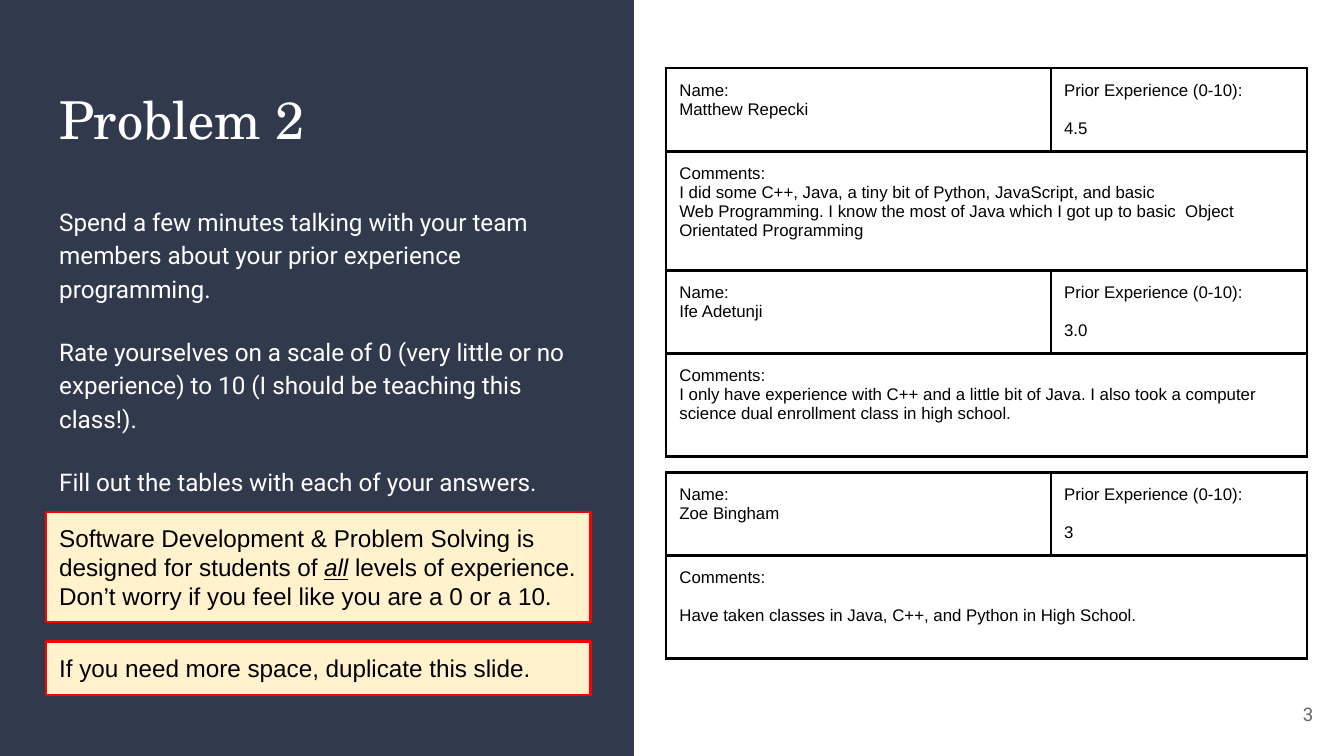
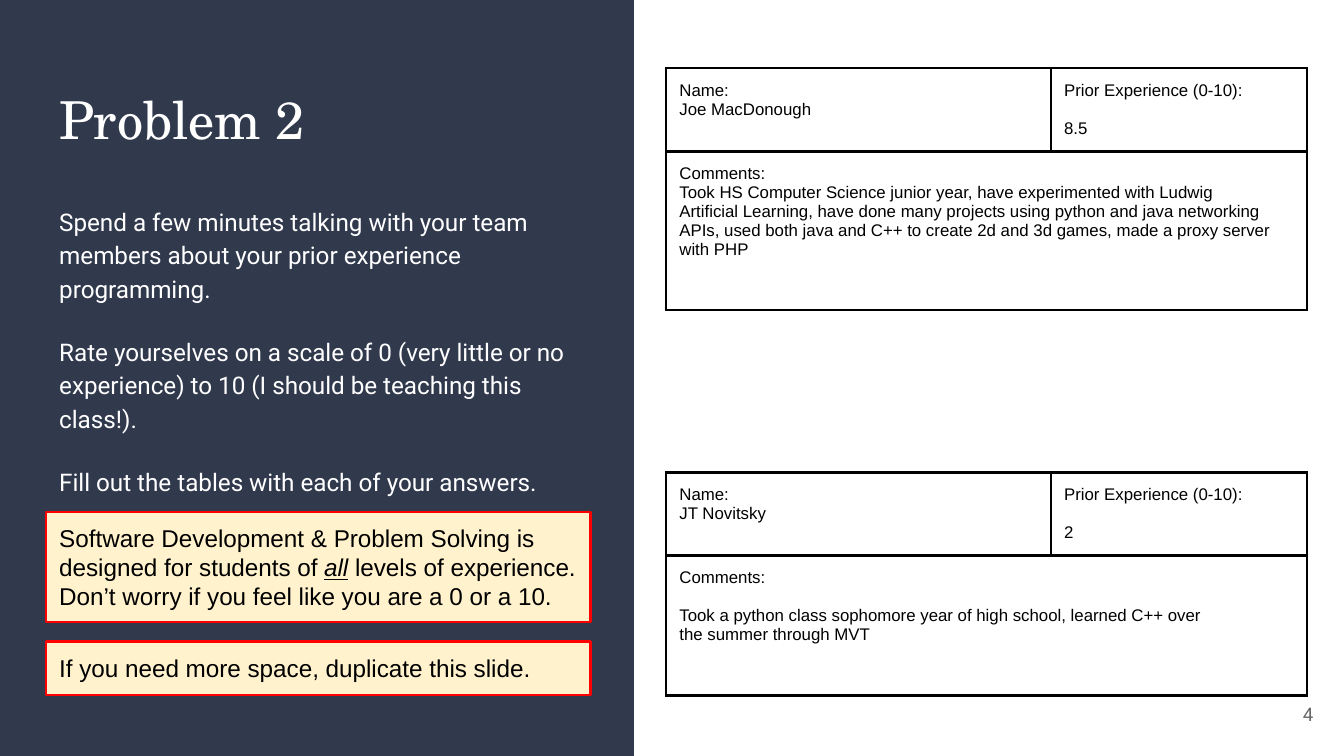
"""Build the two Problem 2 slides with team answers about prior programming experience."""
from lxml import etree
from pptx import Presentation
from pptx.dml.color import RGBColor
from pptx.enum.shapes import MSO_SHAPE
from pptx.enum.text import MSO_ANCHOR, PP_ALIGN
from pptx.oxml.ns import qn
from pptx.util import Cm, Pt

RECT = MSO_SHAPE.RECTANGLE
TOP, MIDDLE = MSO_ANCHOR.TOP, MSO_ANCHOR.MIDDLE
LEFT, RIGHT = PP_ALIGN.LEFT, PP_ALIGN.RIGHT

COLORS = {
    "panel": "31394D",
    "note": "FFF2CC",
    "note_line": "FF0000",
    "light": "FFFFFF",
    "dark": "000000",
    "number": "666666",
}
INSET = Cm(0.25)
PANEL_W = 11.98
TEXT_LEFT, TEXT_W = 0.87, 10.29
TABLE_LEFT, COL_WIDTHS, NAME_ROW = 12.59, (7.27, 4.84), 1.57
BORDER = Pt(1.5)
BLANK_LINE = Pt(10.3)
HARD_SPACE = chr(160)

BODY = [
    "Spend a few minutes talking with your team members about your prior experience programming.",
    "Rate yourselves on a scale of 0 (very little or no experience) to 10 (I should be teaching this class!).",
    "Fill out the tables with each of your answers.",
]
NOTES = [
    (9.68, 2.08, [
        "Software Development & Problem Solving is designed for students of ",
        "all",
        " levels of experience. Don’t worry if you feel like you are a 0 or a 10.",
    ]),
    (12.12, 1.02, ["If you need more space, duplicate this slide."]),
]
# top, comment row height, name, rating, comment, gap before comment; ~ is a hard space
SLIDES = [
    (3, [
        (1.29, 2.25, "Matthew~Repecki", "4.5",
         "I did some C++, Java, a tiny bit of Python, JavaScript, and basic Web~Programming. "
         "I know the most of Java which I got up to basic~~Object Orientated~Programming", 0),
        (5.11, 1.95, "Ife Adetunji", "3.0",
         "I only have experience with C++ and a little bit of Java. I also took a computer "
         "science~dual enrollment class in high school.", 0),
        (8.93, 1.95, "Zoe Bingham", "3",
         "Have taken classes in Java, C++, and Python in High School.", BLANK_LINE),
    ]),
    (4, [
        (1.29, 3, "Joe~MacDonough", "8.5",
         "Took HS Computer Science junior year, have experimented with Ludwig "
         "Artificial~Learning, have done many projects using python and java networking APIs, "
         "used~both java and C++ to create 2d and 3d games, made a proxy server with PHP", 0),
        (8.93, 2.65, "JT Novitsky", "2",
         "Took a python class sophomore year of high school, learned C++ over "
         "the~summer through MVT", BLANK_LINE),
    ]),
]


def style_frame(tf, anchor):
    tf.word_wrap = True
    tf.vertical_anchor = anchor
    tf.margin_left = tf.margin_right = tf.margin_top = tf.margin_bottom = INSET


def add_line(tf, i, runs, size, font, color, align=LEFT):
    p = tf.add_paragraph() if i else tf.paragraphs[0]
    p.alignment = align
    p.font.size = Pt(size)
    p.font.name = font
    p.font.color.rgb = RGBColor.from_string(COLORS[color])
    for text in runs:
        p.add_run().text = text.replace("~", HARD_SPACE)
    return p


prs = Presentation()
prs.slide_width, prs.slide_height = Cm(25.4), Cm(14.29)

for number, answers in SLIDES:
    s = prs.slides.add_slide(prs.slide_layouts[6])

    sp = s.shapes.add_shape(RECT, 0, 0, Cm(PANEL_W), prs.slide_height)
    sp.shadow.inherit = False
    sp.fill.solid()
    sp.fill.fore_color.rgb = RGBColor.from_string(COLORS["panel"])
    sp.line.fill.background()

    tf = s.shapes.add_textbox(Cm(TEXT_LEFT), Cm(1.4), Cm(TEXT_W), Cm(1.78)).text_frame
    style_frame(tf, TOP)
    add_line(tf, 0, ["Problem 2"], 28, "TeX Gyre Schola", "light")

    tf = s.shapes.add_textbox(Cm(23.55), Cm(12.95), Cm(1.52), Cm(1.09)).text_frame
    style_frame(tf, MIDDLE)
    add_line(tf, 0, [str(number)], 10, "Roboto", "number", RIGHT)

    tf = s.shapes.add_textbox(Cm(TEXT_LEFT), Cm(3.58), Cm(TEXT_W), Cm(6.02)).text_frame
    style_frame(tf, TOP)
    for i, text in enumerate(BODY):
        p = add_line(tf, i, [text], 13, "Roboto", "light")
        p.line_spacing = 1.15
        p.space_before = Pt(16 if i else 0)

    for top, height, runs in NOTES:
        sp = s.shapes.add_shape(RECT, Cm(TEXT_LEFT), Cm(top), Cm(TEXT_W), Cm(height))
        sp.shadow.inherit = False
        sp.fill.solid()
        sp.fill.fore_color.rgb = RGBColor.from_string(COLORS["note"])
        sp.line.color.rgb = RGBColor.from_string(COLORS["note_line"])
        sp.line.width = BORDER
        style_frame(sp.text_frame, MIDDLE)
        p = add_line(sp.text_frame, 0, runs, 13, "Arial", "dark")
        for r in p.runs:
            if r.text == "all":
                r.font.italic = r.font.underline = True

    for top, comment_row, name, rating, comment, gap in answers:
        table = s.shapes.add_table(2, 2, Cm(TABLE_LEFT), Cm(top), Cm(sum(COL_WIDTHS)),
                                   Cm(NAME_ROW + comment_row)).table
        table.first_row = table.horz_banding = False
        for col, width in zip(table.columns, COL_WIDTHS):
            col.width = Cm(width)
        for row, height in zip(table.rows, (NAME_ROW, comment_row)):
            row.height = Cm(height)
        table.cell(1, 0).merge(table.cell(1, 1))

        for cell in table.iter_cells():
            tcPr = cell._tc.get_or_add_tcPr()
            for side in ("a:lnL", "a:lnR", "a:lnT", "a:lnB"):
                ln = etree.SubElement(tcPr, qn(side), w=str(BORDER))
                fill = etree.SubElement(ln, qn("a:solidFill"))
                etree.SubElement(fill, qn("a:srgbClr"), val=COLORS["dark"])
            cell.fill.background()

        fields = [
            (0, 0, "Name:", name, 0),
            (0, 1, "Prior Experience (0-10):", rating, BLANK_LINE),
            (1, 0, "Comments:", comment, gap),
        ]
        for row, col, label, value, space in fields:
            cell = table.cell(row, col)
            cell.margin_left = cell.margin_right = cell.margin_top = INSET
            cell.margin_bottom = Cm(0.15)
            add_line(cell.text_frame, 0, [label], 9, "Arial", "dark")
            p = add_line(cell.text_frame, 1, [value], 9, "Arial", "dark")
            p.space_before = space

prs.save("out.pptx")
